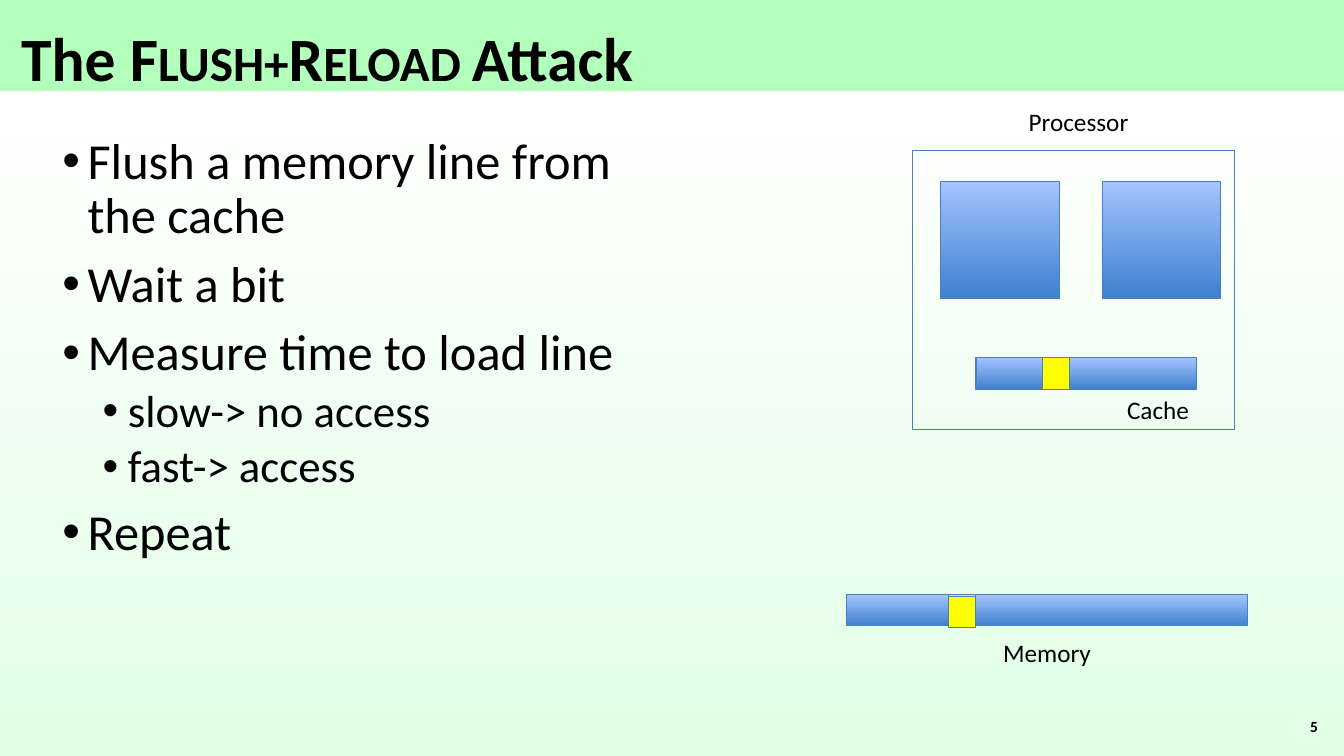
from pptx import Presentation
from pptx.dml.color import RGBColor
from pptx.enum.shapes import MSO_SHAPE
from pptx.enum.text import MSO_ANCHOR, MSO_AUTO_SIZE, PP_ALIGN
from pptx.oxml import parse_xml
from pptx.oxml.ns import nsdecls, qn
from pptx.util import Pt

PX = 9144  # 100 px to the inch
FONT = "Calibri"
BLACK, EDGE, YELLOW = "000000", "4B7EBC", "FFFF00"
BAR_BOTTOM, BAR_TOP = "3F80CE", "A4C4FF"
BACKGROUND = [(0, "B3FFBC"), (12, "B3FFBC"), (12, "FFFFFF"), (100, "E1FFE5")]
STEPS = [
    (0, "Flush a memory line from the cache"),
    (0, "Wait a bit"),
    (0, "Measure time to load line"),
    (1, "slow-> no access"),
    (1, "fast-> access"),
    (0, "Repeat"),
]
STEP_STYLE = {0: (36, 25, 10), 1: (32, 65, 5)}  # size, left indent, space before
HANGING = 25
BAR_HEIGHT, LINE_WIDTH = 31, 27
CORE_WIDTH, CORE_HEIGHT, CORE_PITCH = 118, 116, 160


def px(*lengths):
    return [round(length * PX) for length in lengths]


def color(value):
    return RGBColor.from_string(value)


def style_runs(paragraph, size, bold=False):
    for run in paragraph.runs:
        run.font.name = FONT
        run.font.size = Pt(size)
        run.font.bold = bold
        run.font.color.rgb = color(BLACK)


def add_label(slide, text, box, size=18, align=PP_ALIGN.LEFT, bold=False):
    label = slide.shapes.add_textbox(*px(*box))
    frame = label.text_frame
    frame.word_wrap = False
    frame.vertical_anchor = MSO_ANCHOR.MIDDLE
    frame.text = text
    frame.paragraphs[0].alignment = align
    style_runs(frame.paragraphs[0], size, bold)


def add_block(slide, box):
    """Add an outlined, unfilled rectangle."""
    block = slide.shapes.add_shape(MSO_SHAPE.RECTANGLE, *px(*box))
    block.shadow.inherit = False
    block.fill.background()
    block.line.color.rgb = color(EDGE)
    block.line.width = Pt(0.75)
    return block


def add_hardware(slide, box):
    """Add a rectangle shaded from light at the top to dark at the bottom."""
    fill = add_block(slide, box).fill
    fill.gradient()
    fill.gradient_angle = 90
    for stop, shade in zip(fill.gradient_stops, (BAR_BOTTOM, BAR_TOP)):
        stop.color.rgb = color(shade)


def add_memory_line(slide, left, top):
    fill = add_block(slide, (left, top, LINE_WIDTH, BAR_HEIGHT)).fill
    fill.solid()
    fill.fore_color.rgb = color(YELLOW)


def paint_background(slide):
    fill = slide.background.fill
    fill.gradient()
    fill.gradient_angle = 270
    stops = slide.element.find(".//" + qn("a:gsLst"))
    for stop in list(stops):
        stops.remove(stop)
    for percent, shade in BACKGROUND:
        stops.append(parse_xml(
            f'<a:gs {nsdecls("a")} pos="{percent * 1000}">'
            f'<a:srgbClr val="{shade}"/></a:gs>'))


def place_title(slide, box):
    title = slide.shapes.title
    title.left, title.top, title.width, title.height = px(*box)
    frame = title.text_frame
    frame.word_wrap = True
    frame.auto_size = MSO_AUTO_SIZE.NONE
    frame.vertical_anchor = MSO_ANCHOR.BOTTOM
    heading = frame.paragraphs[0]
    heading.alignment = PP_ALIGN.LEFT
    heading.line_spacing = 0.9
    for part in ("The ", "Flush+Reload ", "Attack"):
        heading.add_run().text = part
    style_runs(heading, 44, bold=True)
    heading.runs[1].font._element.set("cap", "small")


def add_bullet(paragraph, left):
    properties = paragraph._p.get_or_add_pPr()
    indent, hanging = px(left, -HANGING)
    properties.set("marL", str(indent))
    properties.set("indent", str(hanging))
    properties.append(parse_xml(f'<a:buFont {nsdecls("a")} typeface="Arial"/>'))
    properties.append(parse_xml(f'<a:buChar {nsdecls("a")} char="•"/>'))


def add_steps(slide, box):
    frame = slide.shapes.add_textbox(*px(*box)).text_frame
    frame.word_wrap = True
    for number, (level, text) in enumerate(STEPS):
        size, left, space = STEP_STYLE[level]
        step = frame.add_paragraph() if number else frame.paragraphs[0]
        step.text = text
        step.level = level
        add_bullet(step, left)
        step.line_spacing = 0.9
        step.space_before = Pt(space if number else 0)
        style_runs(step, size)


def add_processor(slide, box):
    left, top, width, height = box
    add_label(slide, "Processor", (left + 104, top - 49, 120, 40),
              align=PP_ALIGN.RIGHT)
    for core in range(2):
        add_hardware(slide, (left + 28 + core * CORE_PITCH, top + 31,
                             CORE_WIDTH, CORE_HEIGHT))
    cache_top = top + 206
    add_hardware(slide, (left + 63, cache_top, 219, BAR_HEIGHT))
    add_label(slide, "Cache", (left + 203, cache_top + BAR_HEIGHT, 82, 40))
    add_block(slide, box)
    add_memory_line(slide, left + 129, cache_top)


def add_memory(slide, box):
    left, top, width, height = box
    add_label(slide, "Memory", (left + 145, top + 37, 108, 40))
    add_hardware(slide, box)
    for drop in (0, 2):
        add_memory_line(slide, left + 101, top + drop)


def main():
    deck = Presentation()
    deck.slide_width, deck.slide_height = px(1333, 750)
    slide = deck.slides.add_slide(deck.slide_layouts[5])
    paint_background(slide)
    place_title(slide, (11, 4, 829, 95))
    add_steps(slide, (52, 130, 569, 538))
    add_processor(slide, (905, 149, 319, 277))
    add_memory(slide, (840, 590, 397, BAR_HEIGHT))
    add_label(slide, "5", (1219, 701, 98, 40), 11, PP_ALIGN.RIGHT, bold=True)
    deck.save("out.pptx")


if __name__ == "__main__":
    main()
